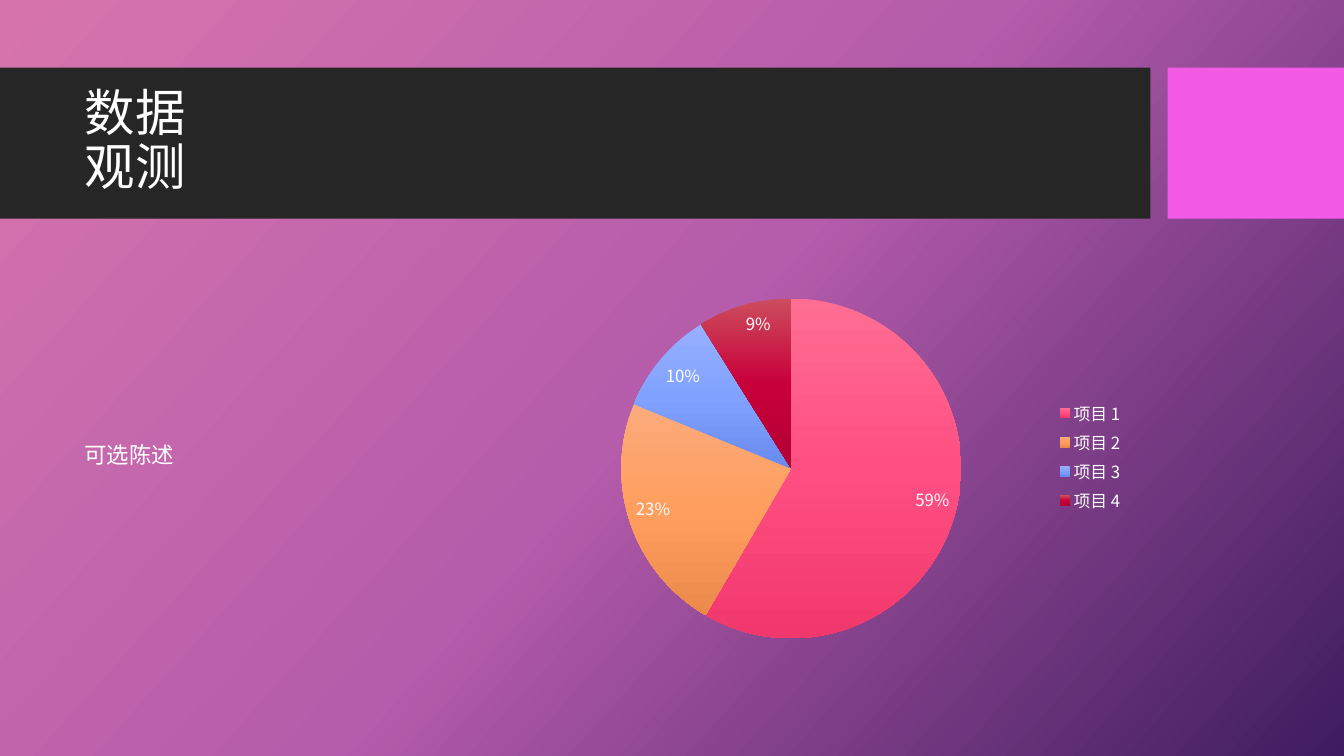
from copy import deepcopy
from pptx import Presentation, util as u
from pptx.chart import data
from pptx.dml import color
from pptx.enum import chart as charts, shapes, text
from pptx.oxml import ns, parse_xml

FONT = "Noto Sans CJK SC"
MARGIN, CONTENT_TOP, CONTENT_HEIGHT = 0.74, 2.56, 3.94


def rgb(value):
    return color.RGBColor.from_string(value)


def paint_gradient(fill, element, colours, angle):
    fill.gradient()
    fill.gradient_angle = 360 - angle
    stop_list = element.xpath(".//a:gsLst")[-1]
    stop_list.insert(1, deepcopy(stop_list[0]))
    for stop, position, colour in zip(fill.gradient_stops, (0, 0.5, 1), colours):
        stop.position = position
        stop.color.rgb = rgb(colour)


presentation = Presentation()
presentation.slide_width = u.Inches(13.33)
presentation.slide_height = u.Inches(7.5)
slide = presentation.slides.add_slide(presentation.slide_layouts[5])
paint_gradient(slide.background.fill, slide.element, ("D774AD", "B55CAB", "3E1C5F"), 42)

for left, width, colour in ((0, 11.41, "262626"), (11.58, 1.75, "F35AE6")):
    band = slide.shapes.add_shape(shapes.MSO_SHAPE.RECTANGLE, u.Inches(left), u.Inches(0.67),
                                  u.Inches(width), u.Inches(1.5))
    band.shadow.inherit = False
    band.fill.solid()
    band.fill.fore_color.rgb = rgb(colour)
    band.line.fill.background()

title = slide.shapes.title
title.left, title.top, title.width, title.height = map(u.Inches, (MARGIN, 0.82, 10.51, 1.18))
slide.shapes.element.append(title.element)

chart_data = data.CategoryChartData()
chart_data.categories = [f"项目 {number}" for number in range(1, 5)]
chart_data.add_series("Series 1", (59, 23, 10, 9))
chart = slide.shapes.add_chart(charts.XL_CHART_TYPE.PIE, u.Inches(5.12), u.Inches(CONTENT_TOP),
                               u.Inches(6.13), u.Inches(CONTENT_HEIGHT), chart_data).chart
chart.has_title = False
chart.has_legend = True
chart.legend.position = charts.XL_LEGEND_POSITION.RIGHT
chart.legend.include_in_layout = False
plot = chart.plots[0]
plot.vary_by_categories = True
plot.has_data_labels = True
labels = plot.data_labels
labels.show_value = True
labels.number_format = '0"%"'
labels.number_format_is_linked = False
labels.position = charts.XL_LABEL_POSITION.INSIDE_END
for font in (chart.font, chart.legend.font, labels.font):
    font.size = u.Pt(12)
    font.name = FONT
    font.color.rgb = rgb("FFFFFF")

slices = (("FE6E93", "FF4F82", "F1386D"), ("FBAB7C", "FF9E5E", "EB8A4B"),
          ("96B0FF", "82A2FF", "698BEE"), ("CC4D5D", "C8003A", "B20033"))
for index, colours in enumerate(slices):
    point = plot.series[0].points[index]
    paint_gradient(point.format.fill, chart.element, colours, 90)
    point.format.line.fill.background()

plot_area = chart.element.xpath(".//c:plotArea")[0]
for layout in plot_area.findall(ns.qn("c:layout")):
    plot_area.remove(layout)
places = "".join(f'<c:{name} val="{share}"/>' for name, share in
                 (("x", 0.17), ("y", 0.1), ("w", 0.55), ("h", 0.86)))
plot_area.insert(0, parse_xml(
    f'<c:layout {ns.nsdecls("c")}><c:manualLayout><c:layoutTarget val="inner"/>'
    f'<c:xMode val="edge"/><c:yMode val="edge"/>{places}</c:manualLayout></c:layout>'))

statement = slide.shapes.add_textbox(u.Inches(MARGIN), u.Inches(CONTENT_TOP),
                                     u.Inches(4.14), u.Inches(CONTENT_HEIGHT))

for shape, wording, size, space in ((title, "数据\n观测", 36, 0), (statement, "可选陈述", 16, 10)):
    frame = shape.text_frame
    frame.word_wrap = True
    frame.auto_size = text.MSO_AUTO_SIZE.NONE
    frame.vertical_anchor = text.MSO_ANCHOR.MIDDLE
    paragraph = frame.paragraphs[0]
    paragraph.text = wording
    paragraph.alignment = text.PP_ALIGN.LEFT
    paragraph.line_spacing = 0.9
    paragraph.space_before = u.Pt(space)
    paragraph.font.size = u.Pt(size)
    paragraph.font.name = FONT
    paragraph.font.color.rgb = rgb("FFFFFF")

for element in (slide.element, chart.element):
    for latin in element.xpath(".//a:latin"):
        latin.addnext(parse_xml(f'<a:ea {ns.nsdecls("a")} typeface="{FONT}"/>'))

presentation.save("out.pptx")
